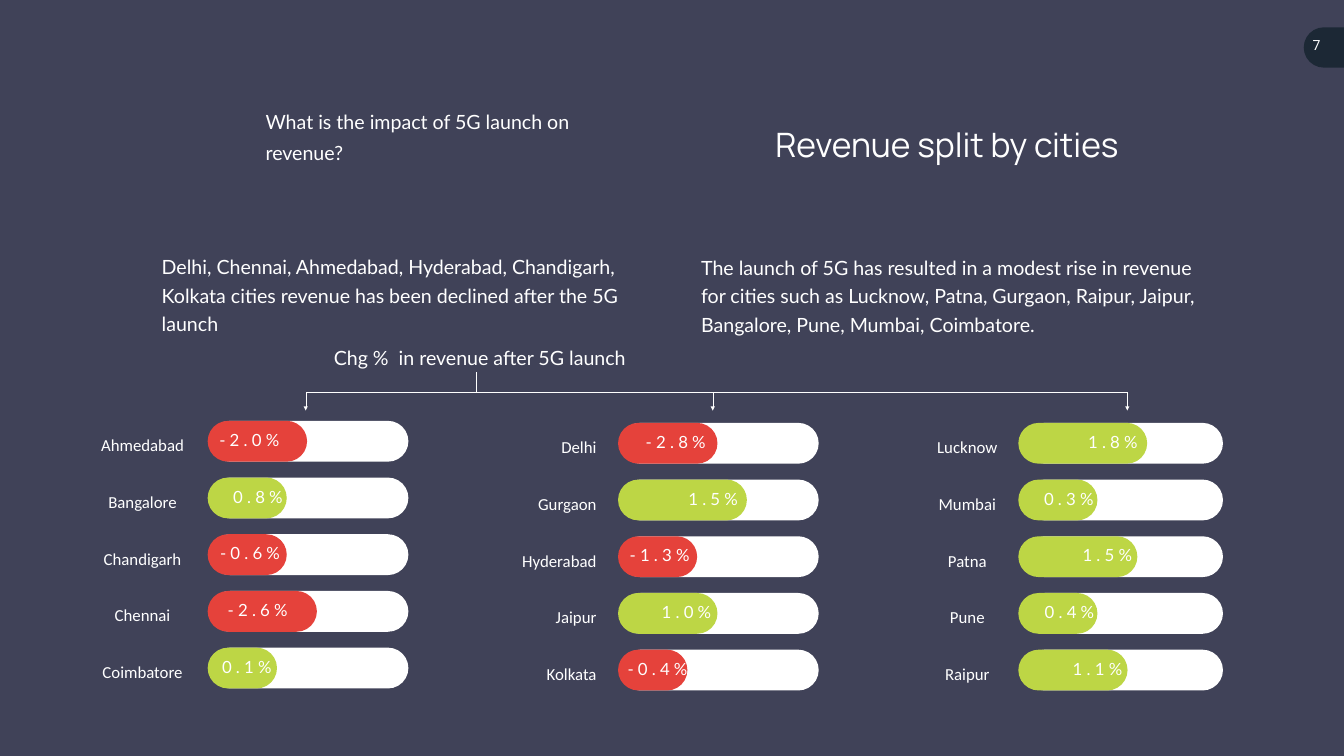
from pptx import Presentation
from pptx.dml.color import RGBColor
from pptx.enum.shapes import MSO_CONNECTOR, MSO_SHAPE
from pptx.enum.text import MSO_AUTO_SIZE as AutoSize, PP_ALIGN as Align
from pptx.oxml.ns import qn
from pptx.util import Pt
from lxml.etree import SubElement

WHITE, RED, GREEN = "FFFFFF", "E5423B", "BDD645"
BACKGROUND, BADGE = "404258", "1C2835"

# Bar grid, in points
ROW_PITCH, BAR_HEIGHT, TRACK_WIDTH = 81, 58.3, 283.7
LABEL_WIDTH = 143

# Each city: name, change, width of the coloured bar, right edge of the value
COLUMNS = [
    {"top": 601.2, "track": 299.6, "bar": 296.6, "label": 132, "align": Align.CENTER,
     "cities": [("Ahmedabad", "-2.0%", 142, 406), ("Bangalore", "0.8%", 113, 411),
                ("Chandigarh", "-0.6%", 113, 407), ("Chennai", "-2.6%", 156, 418),
                ("Coimbatore", "0.1%", 99, 395)]},
    {"top": 604.1, "track": 885.6, "bar": 882.7, "label": 716, "align": Align.RIGHT,
     "cities": [("Delhi", "-2.8%", 142, 1015), ("Gurgaon", "1.5%", 184, 1061),
                ("Hyderabad", "-1.3%", 113, 992), ("Jaipur", "1.0%", 142, 1023),
                ("Kolkata", "-0.4%", 99, 989)]},
    {"top": 604.1, "track": 1463, "bar": 1454.4, "label": 1310, "align": Align.CENTER,
     "cities": [("Lucknow", "1.8%", 184, 1632), ("Mumbai", "0.3%", 113, 1569),
                ("Patna", "1.5%", 170, 1624), ("Pune", "0.4%", 113, 1570),
                ("Raipur", "1.1%", 156, 1610)]},
]


def color(hex_string):
    return RGBColor.from_string(hex_string)


def add_text(slide, text, left, top, width, height, size, font="Lato",
             align=Align.LEFT, line_spacing=None, wrap=True, tracking=None):
    box = slide.shapes.add_textbox(Pt(left), Pt(top), Pt(width), Pt(height))
    text_frame = box.text_frame
    text_frame.word_wrap = wrap
    text_frame.auto_size = AutoSize.SHAPE_TO_FIT_TEXT
    text_frame.text = text
    paragraph = text_frame.paragraphs[0]
    paragraph.alignment = align
    if line_spacing:
        paragraph.line_spacing = Pt(line_spacing)
    run = paragraph.runs[0]
    run.font.name = font
    run.font.size = Pt(size)
    run.font.color.rgb = color(WHITE)
    if tracking:
        run.font._element.set("spc", str(tracking * 100))


def add_filled(slide, kind, left, top, width, height, fill):
    shape = slide.shapes.add_shape(kind, Pt(left), Pt(top), Pt(width), Pt(height))
    shape.shadow.inherit = False
    shape.fill.solid()
    shape.fill.fore_color.rgb = color(fill)
    shape.line.fill.background()
    return shape


def add_pill(slide, left, top, width, fill):
    pill = add_filled(slide, MSO_SHAPE.ROUNDED_RECTANGLE, left, top, width, BAR_HEIGHT, fill)
    pill.adjustments[0] = 0.5


def add_line(slide, start_x, start_y, end_x, end_y, arrow=False):
    line = slide.shapes.add_connector(
        MSO_CONNECTOR.STRAIGHT, Pt(start_x), Pt(start_y), Pt(end_x), Pt(end_y))
    line.line.color.rgb = color(WHITE)
    line.line.width = Pt(0.5)
    if arrow:
        SubElement(line.line._get_or_add_ln(), qn("a:tailEnd"), type="triangle")
    SubElement(line._element.spPr, qn("a:effectLst"))


def add_city_column(slide, column):
    for row, (city, change, bar_width, value_right) in enumerate(column["cities"]):
        top = column["top"] + row * ROW_PITCH
        negative = change.startswith("-")
        add_pill(slide, column["track"], top, TRACK_WIDTH, WHITE)
        add_pill(slide, column["bar"], top, bar_width, RED if negative else GREEN)
        add_text(slide, city, column["label"], top + 4.5, LABEL_WIDTH, 44.6, 24,
                 font="Calibri", align=column["align"], line_spacing=40.8)
        value_width = 106.6 if negative else 91.4
        add_text(slide, change, value_right - value_width, top + 9, value_width, 36, 24,
                 align=Align.RIGHT, wrap=False, tracking=6)


def add_branches(slide):
    trunk_x, branch_y, tip_y = 679.7, 560.5, 586.5
    left_x, middle_x, right_x = 436.6, 1018, 1610
    add_line(slide, trunk_x, 532, trunk_x, branch_y)
    for start_x, end_x in [(trunk_x, left_x), (trunk_x, middle_x), (middle_x, right_x)]:
        add_line(slide, start_x, branch_y, end_x, branch_y)
        add_line(slide, end_x, branch_y, end_x, tip_y, arrow=True)


def main():
    presentation = Presentation()
    presentation.slide_width, presentation.slide_height = Pt(1919.52), Pt(1080)
    slide = presentation.slides.add_slide(presentation.slide_layouts[6])
    slide.background.fill.solid()
    slide.background.fill.fore_color.rgb = color(BACKGROUND)

    # Page number badge
    badge = add_filled(slide, MSO_SHAPE.FLOWCHART_DELAY, 1862, 39, 57.6, 57.6, BADGE)
    badge.rotation = 180
    add_text(slide, "7", 1844, 48.2, 72.7, 38.9, 20, font="Roboto", align=Align.CENTER)

    # Question and title
    add_text(slide, "What is the impact of 5G launch on revenue?",
             372.2, 144.7, 495.4, 90, 28, line_spacing=43)
    add_text(slide, "Revenue split by cities", 958.3, 173.5, 788.4, 65.5, 48,
             font="Manrope", align=Align.CENTER)

    # Findings
    add_text(slide, "Delhi, Chennai, Ahmedabad, Hyderabad, Chandigarh, Kolkata cities "
             "revenue has been declined after the 5G launch",
             223.9, 353.5, 734.4, 127.4, 28, line_spacing=40.8)
    add_text(slide, "The launch of 5G has resulted in a modest rise in revenue for cities "
             "such as Lucknow, Patna, Gurgaon, Raipur, Jaipur, Bangalore, Pune, Mumbai, "
             "Coimbatore.", 994.3, 354.2, 734.4, 127.4, 28, line_spacing=40.8)

    # Revenue change by city
    add_text(slide, "Chg %  in revenue after 5G launch", 467.3, 491, 435.6, 41, 28,
             align=Align.CENTER, wrap=False)
    add_branches(slide)
    for column in COLUMNS:
        add_city_column(slide, column)

    presentation.save("out.pptx")


if __name__ == "__main__":
    main()
